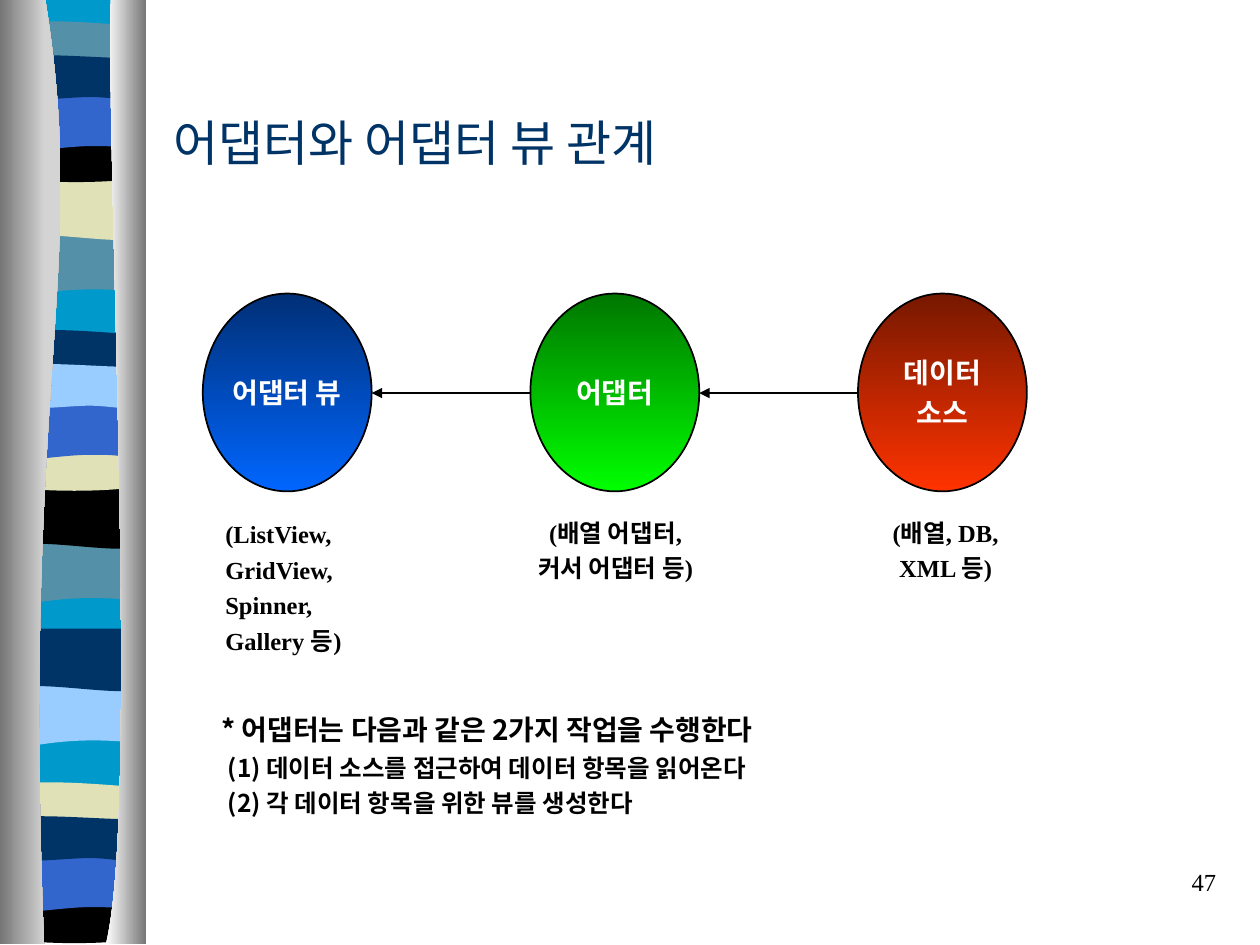
import pptx
import pptx.dml.color
import pptx.enum.shapes
import pptx.enum.text
import pptx.oxml.ns
import pptx.util
from lxml import etree

Inches = pptx.util.Inches
ALIGN = pptx.enum.text.PP_ALIGN
ANCHOR = pptx.enum.text.MSO_ANCHOR
qn = pptx.oxml.ns.qn

KOREAN = "Noto Sans CJK KR"
LATIN = "Times New Roman"
NAVY, BLUE, CYAN = "003366", "3366CC", "0099CC"
TEAL, SAND, SKY, BLACK = "5490A8", "E1E1B7", "99CCFF", "000000"

# Ribbon bands, measured from the left edge of the ribbon:
# two numbers are a point, six are a Bezier curve.
WAVES = {
    "sweep": [(1.08, 1.85), (1.08, 2.32), (0.33, 2.24, 0.18, 2.4, 0, 2.32), (0, 1.85)],
    "block": [(1.08, 1.41), (1.08, 1.88), (0.9, 1.96, 0.33, 1.82, 0, 1.88), (0, 1.41)],
    "hump": [(1.08, 0.21), (1.08, 0.45), (0.9, 0.49, 0.18, 0.49, 0, 0.45), (0, 0.21),
             (0.06, 0.16, 0.23, 0.17, 0.41, 0.17), (0.59, 0.17, 0.94, 0.2, 1.08, 0.21)],
    "dip": [(1.08, 1.08), (1.08, 1.4), (0.9, 1.46, 0.18, 1.46, 0, 1.4), (0, 1.08),
            (0.66, 1.13, 0.85, 1.08, 1.08, 1.08)],
    "arch": [(1.08, 0.74), (1.08, 1.21), (0.91, 1.16, 0.84, 1.16, 0.66, 1.16),
             (0.48, 1.16, 0.16, 1.21, 0, 1.21), (0, 0.74)],
    "ripple": [(1.08, 0.46), (1.08, 0.77), (1.01, 0.82, 0.84, 0.77, 0.66, 0.77),
               (0.48, 0.77, 0.11, 0.82, 0, 0.77), (0, 0.46),
               (0.15, 0.41, 0.73, 0.46, 0.91, 0.46), (1.08, 0.46)],
}
# Left edge, downward shift, and the colour of each wave in the run.
RIBBON_RUNS = [
    (0.06, 0, {"sweep": TEAL, "block": SAND, "hump": TEAL,
               "dip": BLACK, "arch": BLUE, "ripple": NAVY}),
    (0.05, 2.45, {"sweep": TEAL, "block": BLACK, "hump": NAVY,
                  "dip": SAND, "arch": BLUE, "ripple": SKY}),
    (0.06, 3.58, {"sweep": SKY, "block": NAVY}),
    (0.05, 6.04, {"hump": SAND, "dip": BLACK, "arch": BLUE, "ripple": NAVY}),
]
LEFT_METAL = [(0.36, 0), (0.71, 2.16, 0.17, 2.96, 0.35, 7.49), (0, 7.49), (0, 0)]
RIGHT_METAL = [(0.88, 0), (0.84, 1.25, 1.11, 6.46, 0.84, 7.49), (1.16, 7.49), (1.16, 0)]


def rgb(hex_color):
    return pptx.dml.color.RGBColor.from_string(hex_color)


def paint(shape, colors, angle=0):
    """Fill with one colour, or with a gradient between two."""
    shape.shadow.inherit = False
    if len(colors) == 1:
        shape.fill.solid()
        shape.fill.fore_color.rgb = rgb(colors[0])
        return
    shape.fill.gradient()
    shape.fill.gradient_angle = angle
    for position, (stop, color) in enumerate(zip(shape.fill.gradient_stops, colors)):
        stop.position = position
        stop.color.rgb = rgb(color)


def bend(segment, controls):
    """Turn a straight segment into a Bezier curve with two control points."""
    segment.tag = qn("a:cubicBezTo")
    for index, (x, y) in enumerate(controls):
        point = etree.Element(qn("a:pt"))
        point.set("x", str(x))
        point.set("y", str(y))
        segment.insert(index, point)


def add_outline(slide, path, colors, left=0, top=0):
    pieces = [[(Inches(left + x), Inches(top + y)) for x, y in zip(piece[::2], piece[1::2])]
              for piece in path]
    ends = [piece[-1] for piece in pieces]
    builder = slide.shapes.build_freeform(*ends[0])
    builder.add_line_segments(ends[1:], close=True)
    outline = builder.convert_to_shape()
    paint(outline, colors)
    outline.line.fill.background()
    segments = list(outline._element.iter(qn("a:lnTo")))
    for segment, piece in zip(segments, pieces[1:]):
        if len(piece) == 3:
            old_end = segment[0]
            segment.remove(old_end)
            curve = etree.Element(qn("a:cubicBezTo"))
            for x, y in piece:
                point = etree.SubElement(curve, qn("a:pt"))
                point.set("x", str(x - outline.left))
                point.set("y", str(y - outline.top))
            segment.getparent().replace(segment, curve)


def write(frame, lines, size, color=BLACK, font=LATIN, bold=True,
          align=ALIGN.LEFT, anchor=ANCHOR.TOP):
    """Write one paragraph per line, a quarter of the size apart."""
    frame.word_wrap = False
    frame.vertical_anchor = anchor
    for index, line in enumerate(lines):
        paragraph = frame.add_paragraph() if index else frame.paragraphs[0]
        paragraph.text = line
        paragraph.alignment = align
        if index:
            paragraph.space_before = pptx.util.Pt(size / 4)
        style = paragraph.font
        style.size = pptx.util.Pt(size)
        style.bold = bold
        style.color.rgb = rgb(color)
        style.name = font
        defaults = paragraph._p.pPr.find(qn("a:defRPr"))
        etree.SubElement(defaults, qn("a:ea")).set("typeface", KOREAN)


def add_text(slide, box, lines, size, **style):
    frame = slide.shapes.add_textbox(*map(Inches, box)).text_frame
    write(frame, lines, size, **style)
    return frame


def add_node(slide, left, lines, colors, font):
    node = slide.shapes.add_shape(pptx.enum.shapes.MSO_SHAPE.OVAL, Inches(left),
                                  Inches(2.33), Inches(1.34), Inches(1.57))
    paint(node, colors, angle=270)
    node.line.color.rgb = rgb(BLACK)
    node.line.width = pptx.util.Pt(1)
    write(node.text_frame, lines, 16, color="FFFFFF", font=font,
          align=ALIGN.CENTER, anchor=ANCHOR.MIDDLE)


def add_arrow(slide, start, end, y):
    arrow = slide.shapes.add_connector(pptx.enum.shapes.MSO_CONNECTOR.STRAIGHT,
                                       Inches(start), Inches(y), Inches(end), Inches(y))
    arrow.line.color.rgb = rgb(BLACK)
    arrow.line.width = pptx.util.Pt(1.5)
    properties = arrow._element.spPr
    etree.SubElement(properties.find(qn("a:ln")), qn("a:tailEnd")).set("type", "triangle")
    etree.SubElement(properties, qn("a:effectLst"))


def add_ribbon(slide):
    add_outline(slide, [(0, 0), (1.08, 0), (1.08, 7.47), (0, 7.47)], [CYAN], left=0.06)
    for left, shift, fills in RIBBON_RUNS:
        for wave, fill in fills.items():
            add_outline(slide, WAVES[wave], [fill], left, shift)
    add_outline(slide, LEFT_METAL, ["767676", "D4D4D4"])
    add_outline(slide, RIGHT_METAL, ["FFFFFF", "767676"])


def add_diagram(slide):
    first, pitch, width = 1.61, 2.6, 1.34
    nodes = [
        (["어댑터 뷰"], ["002F76", "0066FF"], KOREAN),
        (["어댑터"], ["007600", "00FF00"], LATIN),
        (["데이터", "소스"], ["761800", "FF3300"], LATIN),
    ]
    for index, node in enumerate(nodes):
        left = first + index * pitch
        add_node(slide, left, *node)
        if index:
            add_arrow(slide, left, left - pitch + width, 3.12)

    add_text(slide, (1.69, 4.07, 1.21, 1.18),
             ["(ListView,", "GridView,", "Spinner,", "Gallery 등)"], 14)
    add_text(slide, (4.14, 4.06, 1.49, 0.62),
             ["(배열 어댑터,", "커서 어댑터 등)"], 14, align=ALIGN.CENTER)
    add_text(slide, (6.94, 4.06, 1.13, 0.62),
             ["(배열, DB,", "XML 등)"], 14, align=ALIGN.CENTER)


def add_tasks(slide):
    frame = add_text(slide, (1.66, 5.61, 4.64, 1.5), [
        "* 어댑터는 다음과 같은 2가지 작업을 수행한다",
        "(1) 데이터 소스를 접근하여 데이터 항목을 읽어온다",
        "(2) 각 데이터 항목을 위한 뷰를 생성한다",
    ], 16, font=KOREAN)
    for task in frame.paragraphs[1:]:
        task.font.size = pptx.util.Pt(14)
        task.space_before = pptx.util.Pt(3.5)
        task._p.pPr.set("marL", str(Inches(0.05)))


def main():
    deck = pptx.Presentation()
    deck.slide_width, deck.slide_height = Inches(10), Inches(7.5)
    slide = deck.slides.add_slide(deck.slide_layouts[6])
    add_ribbon(slide)
    add_text(slide, (7.67, 6.83, 2.08, 0.5), ["47"], 14, bold=False, align=ALIGN.RIGHT)
    add_text(slide, (1.28, 0.5, 8.5, 1.25), ["어댑터와 어댑터 뷰 관계"], 28, color=NAVY,
             font=KOREAN, bold=False, anchor=ANCHOR.MIDDLE).word_wrap = True
    add_diagram(slide)
    add_tasks(slide)
    deck.save("out.pptx")


if __name__ == "__main__":
    main()
